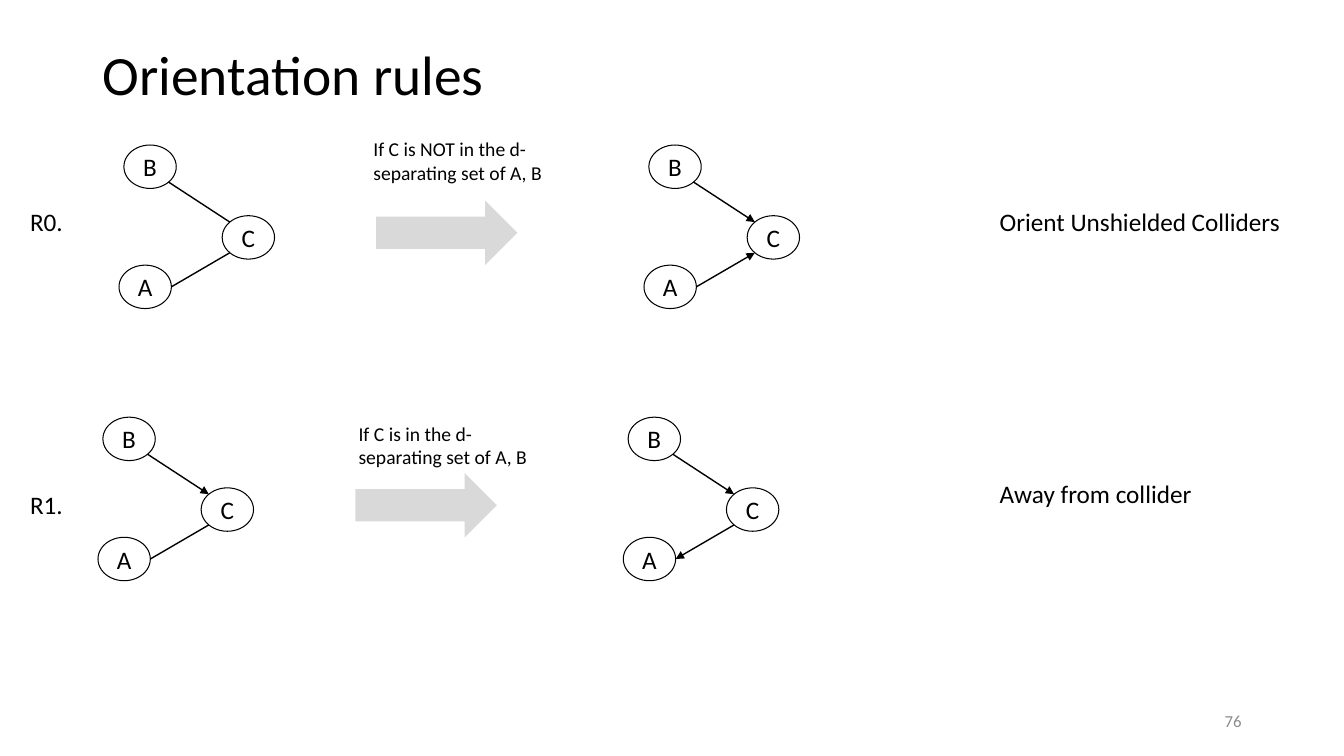
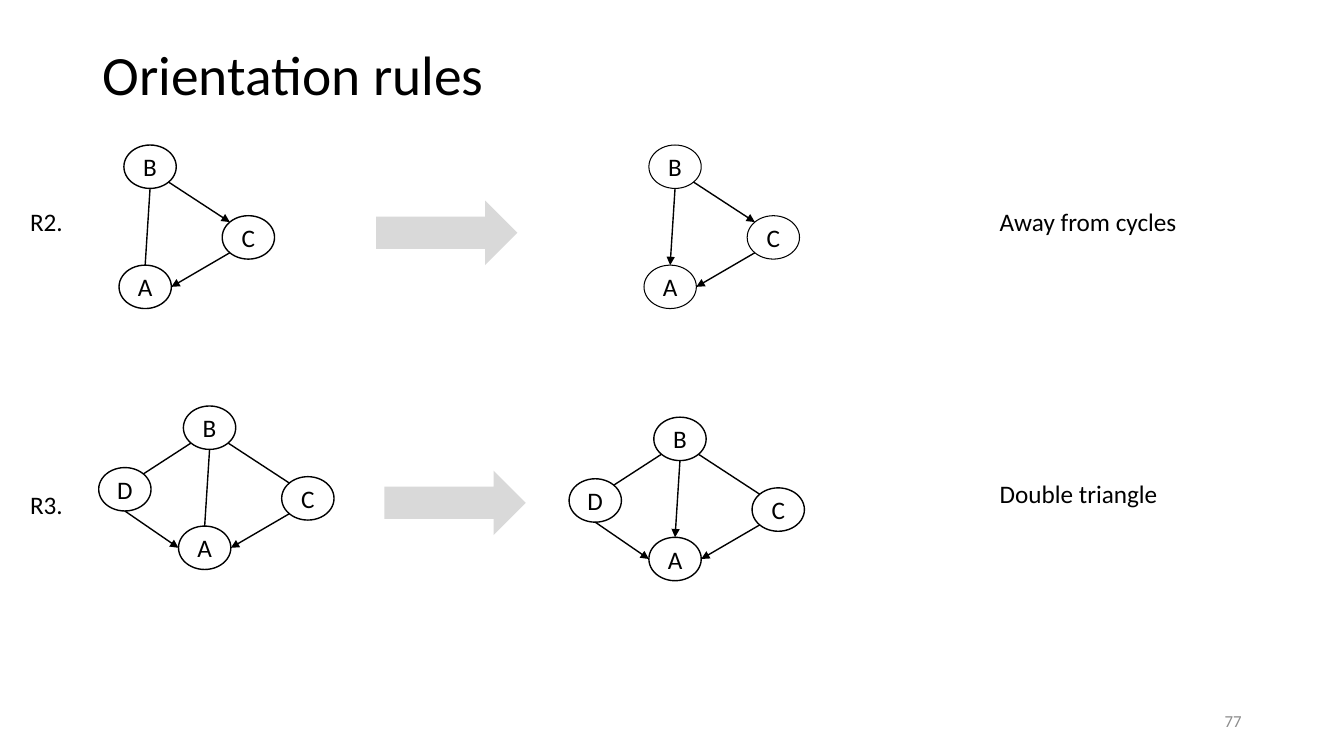
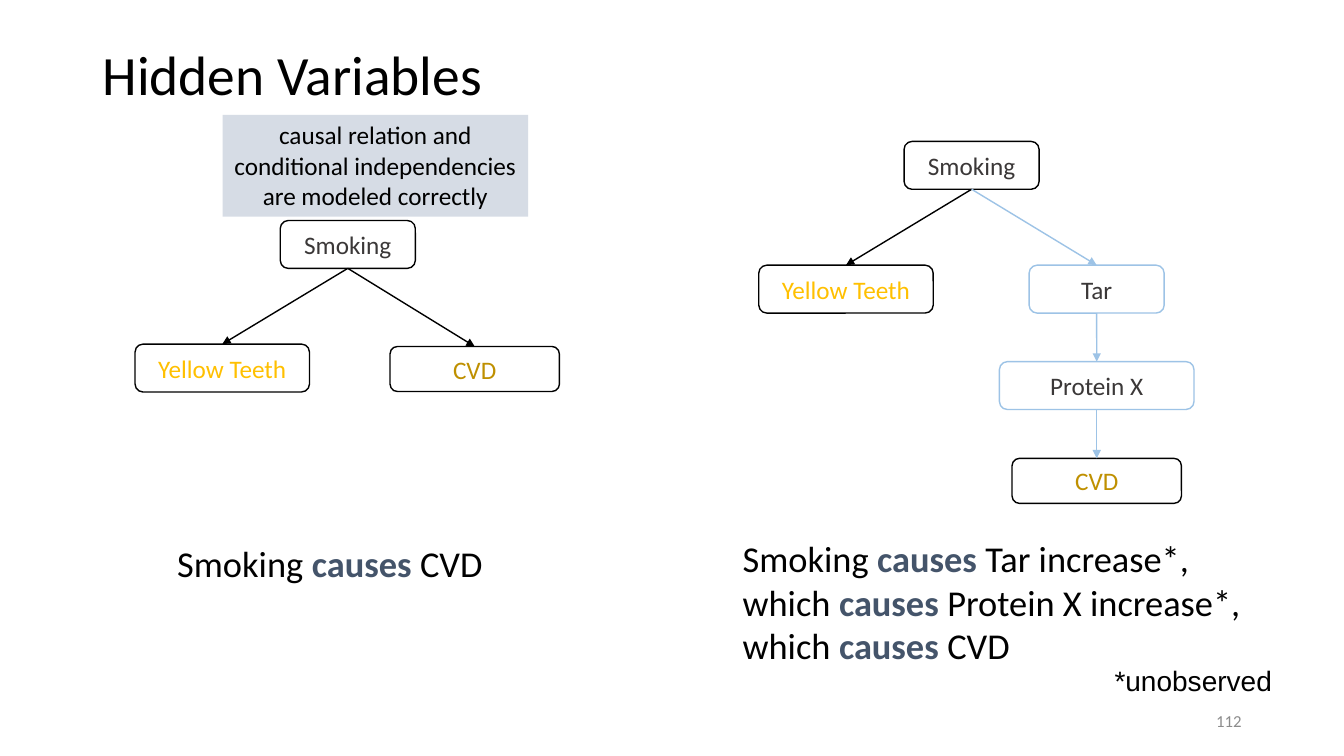
from dataclasses import dataclass

import pptx
import pptx.dml.color
import pptx.enum.shapes
import pptx.enum.text
import pptx.oxml
import pptx.oxml.ns
import pptx.util
from pptx.dml.color import RGBColor
from pptx.util import Pt

SHAPE = pptx.enum.shapes.MSO_SHAPE
ALIGN = pptx.enum.text.PP_ALIGN
ANCHOR = pptx.enum.text.MSO_ANCHOR

# Shared style
BLACK = RGBColor(0x00, 0x00, 0x00)
WHITE = RGBColor(0xFF, 0xFF, 0xFF)
PAGE_GRAY = RGBColor(0x8C, 0x8C, 0x8C)
ARROW_GRAY = RGBColor(0xD9, 0xD9, 0xD9)
DARK = RGBColor(0x3B, 0x38, 0x38)
YELLOW = RGBColor(0xFF, 0xC0, 0x00)
GOLD = RGBColor(0xBF, 0x90, 0x00)
SKY = RGBColor(0x9D, 0xC3, 0xE6)
NAVY = RGBColor(0x44, 0x54, 0x6A)
PALE_BLUE = RGBColor(0xD6, 0xDC, 0xE5)
FONT = "Calibri"

# Node layout relative to node A, and the side of a node that faces another
NODE_W, NODE_H = 37.4, 31
NODE_OFFSETS = {"A": (0, 0), "B": (3.5, -85.8), "C": (73.7, -35.3), "D": (-57, -41.8)}
DIAGONAL = 0.707
FACING = {
    "BC": (DIAGONAL, DIAGONAL), "CB": (-DIAGONAL, -DIAGONAL),
    "AC": (1, 0), "CA": (-DIAGONAL, DIAGONAL),
    "BA": (0, 1), "AB": (0, -1),
    "BD": (-DIAGONAL, DIAGONAL), "DB": (DIAGONAL, -DIAGONAL),
    "DA": (0, 1), "AD": (-1, 0),
}


@dataclass
class Graph:
    """Nodes placed around A; an edge is "B-C" (plain) or "B>C" (arrow)."""
    x: float
    y: float
    edges: str
    weight: float = 1


@dataclass
class Rule:
    name: str
    name_y: float
    meaning: str
    meaning_y: float
    arrow: tuple[float, float]
    before: Graph
    after: Graph
    condition: str = ""
    condition_at: tuple[float, float] = (0, 0)


@dataclass
class Box:
    text: str
    x: float
    y: float
    w: float
    h: float = 34.2
    color: RGBColor = DARK
    line: RGBColor = BLACK


@dataclass
class Link:
    start: str
    end: str
    color: RGBColor = BLACK


def style_run(r, size: float, color: RGBColor, font: str = FONT) -> None:
    r.font.size = Pt(size)
    r.font.name = font
    r.font.color.rgb = color


def set_text(sp, text: str, size: float = 18, color: RGBColor = BLACK,
             align=ALIGN.LEFT, anchor=ANCHOR.TOP, font: str = FONT) -> None:
    tf = sp.text_frame
    tf.word_wrap = True
    tf.vertical_anchor = anchor
    tf.text = text
    p = tf.paragraphs[0]
    p.alignment = align
    style_run(p.runs[0], size, color, font)


def add_text(s, text: str, x: float, y: float, w: float, h: float = 29, **style):
    sp = s.shapes.add_textbox(Pt(x), Pt(y), Pt(w), Pt(h))
    set_text(sp, text, **style)
    return sp


def add_causes(s, text: str, x: float, y: float, w: float, h: float) -> None:
    """Every second piece between bars is emphasised."""
    sp = s.shapes.add_textbox(Pt(x), Pt(y), Pt(w), Pt(h))
    sp.text_frame.word_wrap = True
    p = sp.text_frame.paragraphs[0]
    for i, piece in enumerate(text.split("|")):
        r = p.add_run()
        r.text = piece
        style_run(r, 26, NAVY if i % 2 else BLACK)
        r.font.bold = bool(i % 2)


def add_shape(s, kind, x: float, y: float, w: float, h: float, fill: RGBColor,
              line: RGBColor | None = None, weight: float = 1):
    sp = s.shapes.add_shape(kind, Pt(x), Pt(y), Pt(w), Pt(h))
    sp.shadow.inherit = False
    sp.fill.solid()
    sp.fill.fore_color.rgb = fill
    if line is None:
        sp.line.fill.background()
    else:
        sp.line.color.rgb = line
        sp.line.width = Pt(weight)
    return sp


def add_line(s, start: tuple[float, float], end: tuple[float, float],
             color: RGBColor = BLACK, arrow: bool = True):
    points = [Pt(v) for v in (*start, *end)]
    line = s.shapes.add_connector(pptx.enum.shapes.MSO_CONNECTOR.STRAIGHT, *points)
    line.line.color.rgb = color
    line.line.width = Pt(1)
    if arrow:
        ln = line.line._get_or_add_ln()
        ln.append(pptx.oxml.parse_xml(
            f'<a:tailEnd {pptx.oxml.ns.nsdecls("a")} type="triangle"/>'))
    props = line._element.spPr
    props.append(pptx.oxml.parse_xml(f'<a:effectLst {pptx.oxml.ns.nsdecls("a")}/>'))
    return line


def new_slide(prs, title: str, number: str):
    s = prs.slides.add_slide(prs.slide_layouts[6])
    sp = add_text(s, title, 66.2, 28.8, 828, 52.6, size=39.6, anchor=ANCHOR.MIDDLE)
    sp.text_frame.paragraphs[0].line_spacing = 0.9
    add_text(s, number, 678, 500.5, 216, 28.8, size=12, color=PAGE_GRAY,
             align=ALIGN.RIGHT, anchor=ANCHOR.MIDDLE)
    return s


def draw_graph(s, graph: Graph) -> None:
    def site(node: str, other: str) -> tuple[float, float]:
        dx, dy = NODE_OFFSETS[node]
        fx, fy = FACING[node + other]
        return (graph.x + dx + NODE_W / 2 * (1 + fx),
                graph.y + dy + NODE_H / 2 * (1 + fy))

    for name, (dx, dy) in NODE_OFFSETS.items():
        if name in graph.edges:
            sp = add_shape(s, SHAPE.OVAL, graph.x + dx, graph.y + dy, NODE_W, NODE_H,
                           WHITE, BLACK, graph.weight)
            set_text(sp, name, align=ALIGN.CENTER, anchor=ANCHOR.MIDDLE)
    for start, kind, end in graph.edges.split():
        add_line(s, site(start, end), site(end, start), arrow=kind == ">")


def draw_rule(s, rule: Rule) -> None:
    add_text(s, rule.name, 14.4, rule.name_y, 40.5)
    draw_graph(s, rule.before)
    add_shape(s, SHAPE.RIGHT_ARROW, *rule.arrow, 101, 46, ARROW_GRAY)
    if rule.condition:
        add_text(s, rule.condition, *rule.condition_at, 135.4, 41, size=14)
    draw_graph(s, rule.after)
    add_text(s, rule.meaning, 707, rule.meaning_y, 225)


def draw_network(s, boxes: list[Box], links: list[Link]) -> None:
    drawn = {}
    for box in boxes:
        sp = add_shape(s, SHAPE.ROUNDED_RECTANGLE, box.x, box.y, box.w, box.h,
                       WHITE, box.line)
        set_text(sp, box.text, color=box.color, align=ALIGN.CENTER, anchor=ANCHOR.MIDDLE)
        drawn[box.text] = sp
    for link in links:
        line = add_line(s, (0, 0), (0, 0), link.color)
        line.begin_connect(drawn[link.start], 2)
        line.end_connect(drawn[link.end], 0)


# Content
RULE_SLIDES = {
    "76": [
        Rule("R0.", 144, "Orient Unshielded Colliders", 144, (268.6, 143.3),
             Graph(85, 189.4, "B-C A-C", 0.75), Graph(460, 189.4, "B>C A>C", 0.75),
             "If C is NOT in the d-separating set of A, B", (259.6, 94.3)),
        Rule("R1.", 345.6, "Away from collider", 338.4, (253.9, 337.9),
             Graph(70, 383.8, "B>C A-C", 0.75), Graph(445.2, 383.8, "B>C C>A", 0.75),
             "If C is in the d-separating set of A, B", (249, 297.6)),
    ],
    "77": [
        Rule("R2.", 144, "Away from cycles", 144, (268.6, 143.3),
             Graph(85, 189.4, "B>C C>A B-A"), Graph(460, 189.4, "B>C C>A B>A", 0.75)),
        Rule("R3.", 345.6, "Double triangle", 338.4, (274.6, 336.2),
             Graph(127.5, 375.8, "B-C C>A B-A B-D D>A"),
             Graph(463.5, 383.8, "B-C C>A B>A B-D D>A")),
    ],
}
OBSERVED = (
    [Box("Smoking", 200.2, 157.5, 96.5),
     Box("Yellow Teeth", 96.5, 245.8, 124.6, color=YELLOW),
     Box("CVD", 278.6, 247.5, 121, 32.2, GOLD)],
    [Link("Smoking", "Yellow Teeth"), Link("Smoking", "CVD")],
)
HIDDEN = (
    [Box("Smoking", 645.8, 101, 96.5),
     Box("Yellow Teeth", 542, 189.4, 124.6, color=YELLOW),
     Box("Tar", 735.1, 189.4, 96.5, line=SKY),
     Box("Protein X", 713.9, 258.3, 139, line=SKY),
     Box("CVD", 722.9, 327.4, 121, 32.2, GOLD)],
    [Link("Smoking", "Yellow Teeth"), Link("Smoking", "Tar", SKY),
     Link("Tar", "Protein X", SKY), Link("Protein X", "CVD", SKY)],
)


def main() -> None:
    prs = pptx.Presentation()
    prs.slide_width, prs.slide_height = Pt(960), Pt(540)

    # Orientation rules
    for number, rules in RULE_SLIDES.items():
        s = new_slide(prs, "Orientation rules", number)
        for rule in rules:
            draw_rule(s, rule)

    # Hidden variables
    s = new_slide(prs, "Hidden Variables", "112")
    for boxes, links in (OBSERVED, HIDDEN):
        draw_network(s, boxes, links)
    note = add_shape(s, SHAPE.RECTANGLE, 159, 82, 218.2, 72.7, PALE_BLUE)
    set_text(note, "causal relation and conditional independencies are modeled correctly",
             align=ALIGN.CENTER)
    add_causes(s, "Smoking |causes |CVD", 119.5, 383, 284.4, 38.9)
    add_causes(s, "Smoking |causes |Tar increase*, which |causes |Protein X increase*, "
               "which |causes |CVD", 523.4, 379.4, 388.8, 101.5)
    add_text(s, "*unobserved", 789, 470.2, 134, 31.7, size=20, font="Arial")

    prs.save("out.pptx")


if __name__ == "__main__":
    main()
